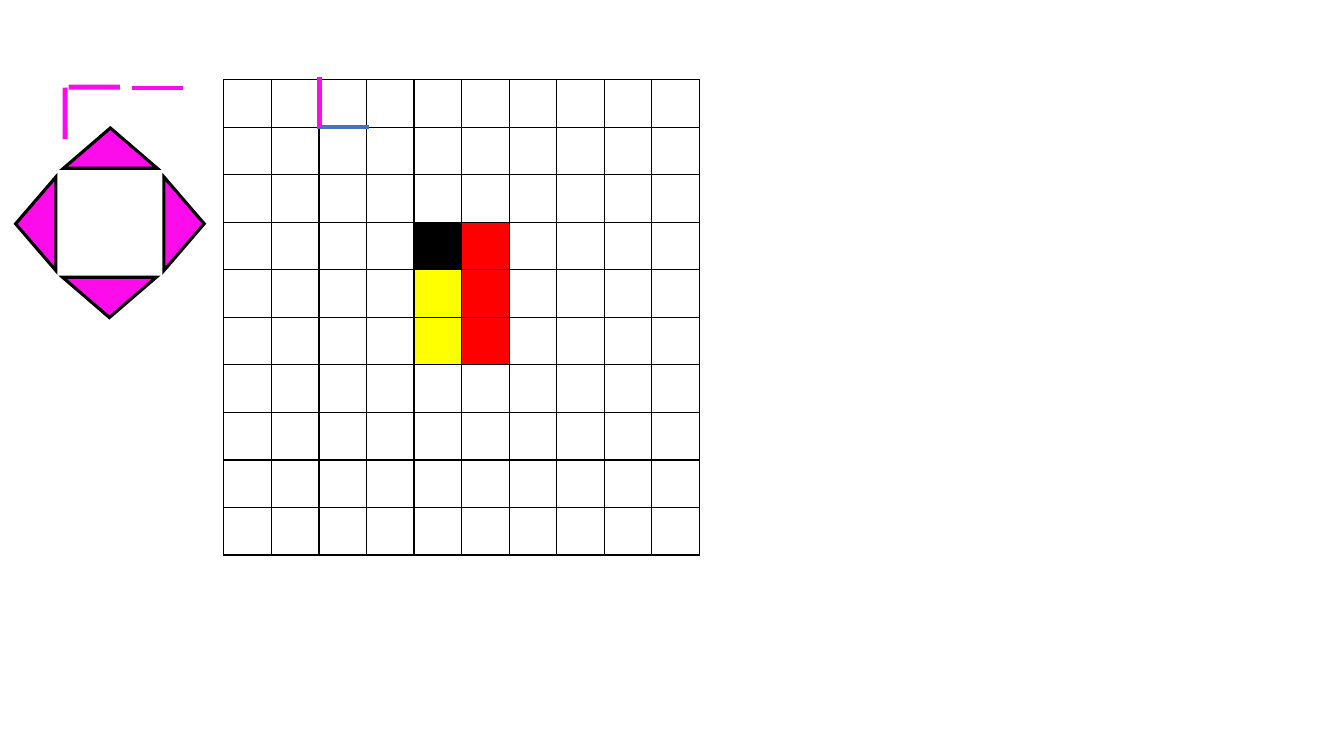
from dataclasses import dataclass

from lxml.etree import SubElement
from pptx import Presentation
from pptx.dml.color import RGBColor
from pptx.enum.shapes import MSO_CONNECTOR, MSO_SHAPE
from pptx.oxml import parse_xml
from pptx.oxml.ns import nsdecls, qn
from pptx.slide import Slide
from pptx.util import Inches, Pt

COLORS = {
    "black": "000000",
    "red": "FF0000",
    "yellow": "FFFF00",
    "magenta": "FC0CEB",
    "blue": "4472C4",
}
GRID_COUNT = 10
GRID_LEFT, GRID_TOP, GRID_SIZE = 2.22, 0.79, 4.72
FILLED_CELLS = {
    (3, 4): "black",
    (4, 4): "yellow",
    (5, 4): "yellow",
    (3, 5): "red",
    (4, 5): "red",
    (5, 5): "red",
}


@dataclass
class Stroke:
    start: tuple[float, float]
    end: tuple[float, float]
    color: str


@dataclass
class Block:
    """A magenta shape; left and top are measured before rotation."""
    left: float
    top: float
    rotation: int = 0


STROKES = [
    Stroke((3.14, 1.26), (3.66, 1.26), "blue"),
    Stroke((3.17, 0.76), (3.17, 1.27), "magenta"),
    Stroke((1.31, 0.87), (1.82, 0.87), "magenta"),
]
BARS = [Block(0.68, 0.84), Block(0.39, 1.1, 90)]
ARROWS = [
    Block(0.63, 1.27),
    Block(1.36, 2.02, 90),
    Block(0.62, 2.75, 180),
    Block(-0.11, 2.02, 270),
]


def rgb(name: str) -> RGBColor:
    return RGBColor.from_string(COLORS[name])


def set_borders(cell) -> None:
    properties = cell._tc.get_or_add_tcPr()
    for index, side in enumerate(("lnL", "lnR", "lnT", "lnB")):
        border = parse_xml(
            f'<a:{side} {nsdecls("a")} w="{Pt(1)}"><a:solidFill>'
            f'<a:srgbClr val="{COLORS["black"]}"/></a:solidFill></a:{side}>'
        )
        properties.insert(index, border)


def draw_grid(page: Slide) -> None:
    table = page.shapes.add_table(
        GRID_COUNT, GRID_COUNT, Inches(GRID_LEFT), Inches(GRID_TOP),
        Inches(GRID_SIZE), Inches(GRID_SIZE),
    ).table
    for name, value in {"first_row": False, "horz_banding": False}.items():
        setattr(table, name, value)
    for row in range(GRID_COUNT):
        for column in range(GRID_COUNT):
            cell = table.cell(row, column)
            if (row, column) in FILLED_CELLS:
                cell.fill.solid()
                cell.fill.fore_color.rgb = rgb(FILLED_CELLS[row, column])
            else:
                cell.fill.background()
            set_borders(cell)


def draw_stroke(page: Slide, stroke: Stroke) -> None:
    points = [Inches(value) for value in (*stroke.start, *stroke.end)]
    line = page.shapes.add_connector(MSO_CONNECTOR.STRAIGHT, *points)
    line.line.color.rgb = rgb(stroke.color)
    line.line.width = Pt(3)
    SubElement(line._element.spPr, qn("a:effectLst"))


def draw_block(page: Slide, block: Block, kind: MSO_SHAPE,
               width: float, height: float, outlined: bool) -> None:
    shape = page.shapes.add_shape(
        kind, Inches(block.left), Inches(block.top), Inches(width), Inches(height)
    )
    shape.rotation = block.rotation
    shape.shadow.inherit = False
    shape.fill.solid()
    shape.fill.fore_color.rgb = rgb("magenta")
    if outlined:
        shape.line.color.rgb = rgb("black")
        shape.line.width = Pt(2.25)
        outline = shape._element.spPr.find(qn("a:ln"))
        SubElement(outline, qn("a:miter"), lim="800000")
    else:
        shape.line.fill.background()


def main() -> None:
    deck = Presentation()
    deck.slide_width = Inches(13.33)
    deck.slide_height = Inches(7.5)
    page = deck.slides.add_slide(deck.slide_layouts[6])
    draw_grid(page)
    for stroke in STROKES:
        draw_stroke(page, stroke)
    for bar in BARS:
        draw_block(page, bar, MSO_SHAPE.RECTANGLE, 0.51, 0.05, outlined=False)
    for arrow in ARROWS:
        draw_block(page, arrow, MSO_SHAPE.ISOSCELES_TRIANGLE, 0.93, 0.4, outlined=True)
    deck.save("out.pptx")


if __name__ == "__main__":
    main()
